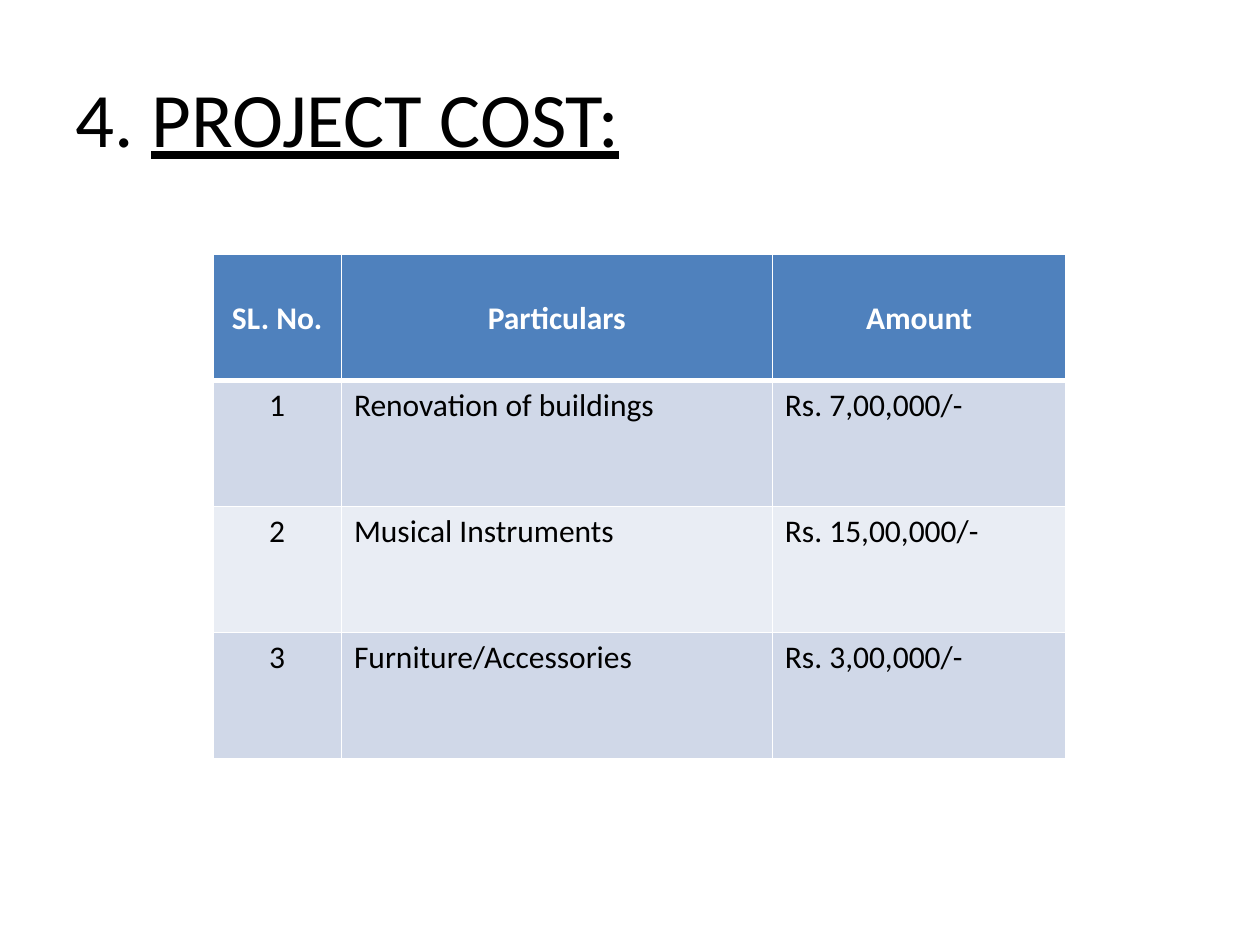
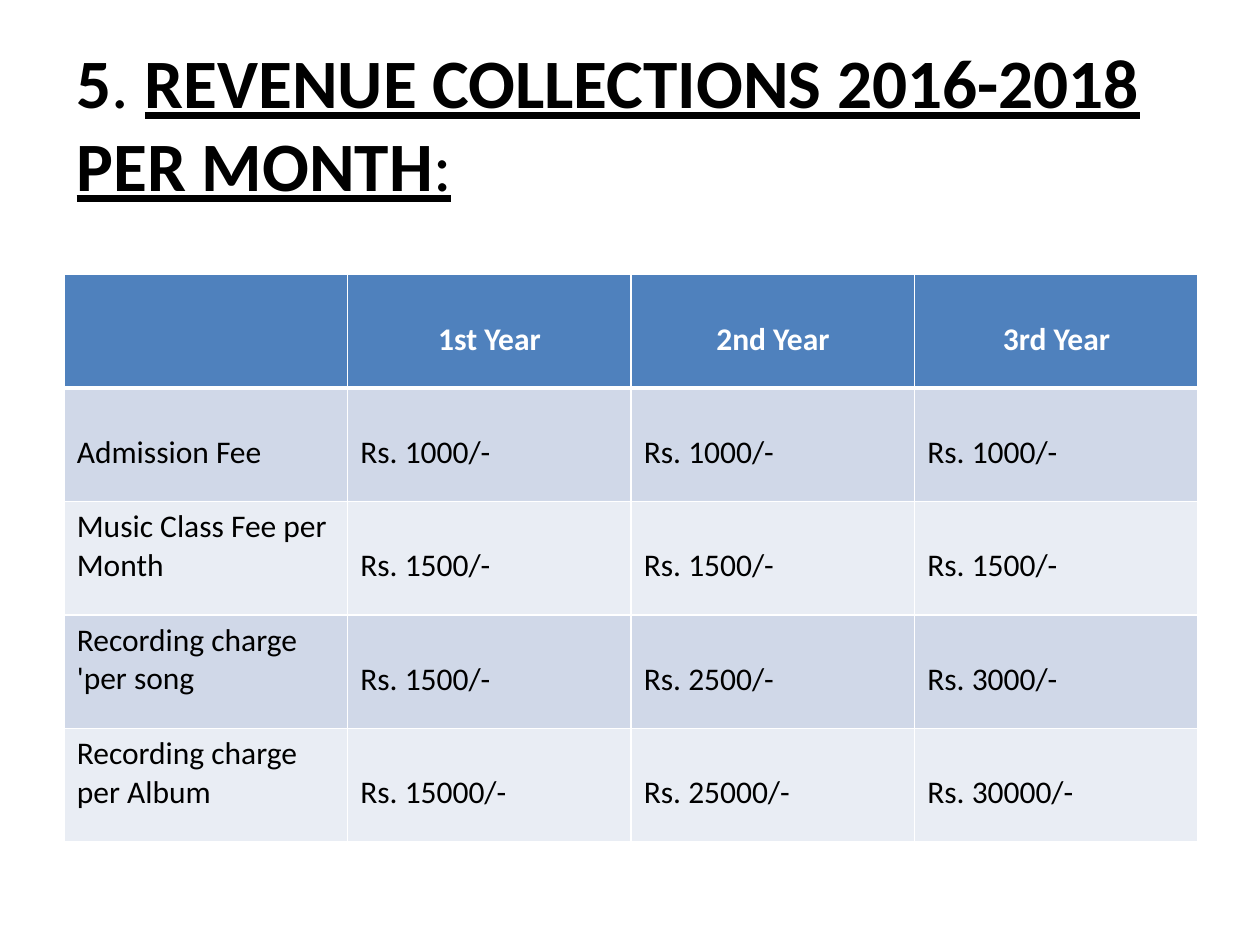
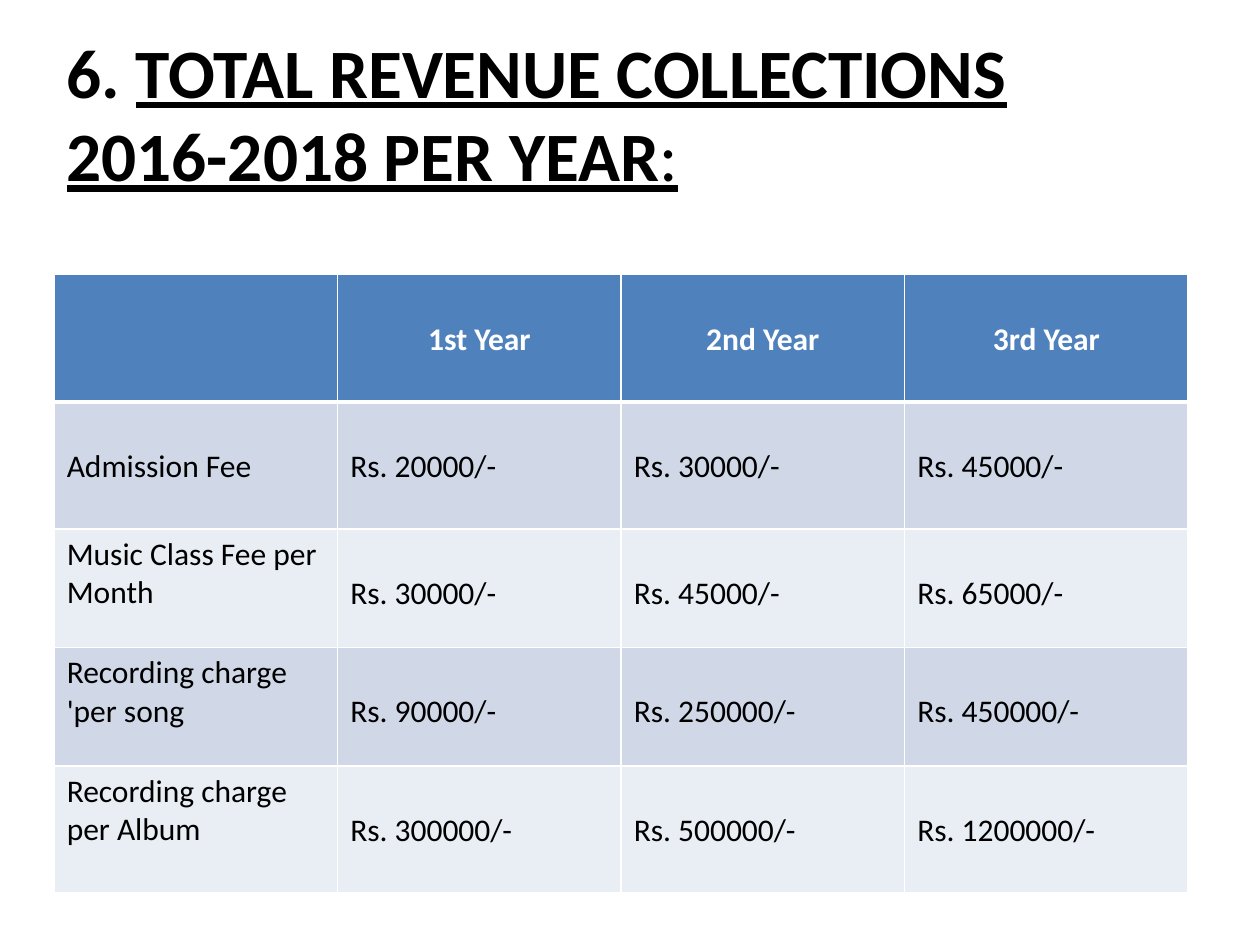
import pptx
import pptx.util
from pptx.dml.color import RGBColor
from pptx.enum.text import MSO_ANCHOR, PP_ALIGN
from pptx.oxml import parse_xml
from pptx.oxml.ns import nsdecls
from pptx.util import Inches

# Shared look
BLACK = RGBColor(0x00, 0x00, 0x00)
WHITE = RGBColor(0xFF, 0xFF, 0xFF)
HEADER_BLUE = RGBColor(0x4F, 0x81, 0xBD)
BANDS = (RGBColor(0xE9, 0xED, 0xF4), RGBColor(0xD0, 0xD8, 0xE8))
FONT = "Calibri"
CELL_SIZE = 18
CELL_MARGIN = 0.05
LINE_DROP = 0.31  # one line of cell text
LABEL_WIDTH = 20  # longer row labels wrap to two lines

# Table content
COSTS = [
    ("SL. No.", "Particulars", "Amount"),
    ("1", "Renovation of buildings", "Rs. 7,00,000/-"),
    ("2", "Musical Instruments", "Rs. 15,00,000/-"),
    ("3", "Furniture/Accessories", "Rs. 3,00,000/-"),
]
YEARS = ("", "1st Year", "2nd Year", "3rd Year")
FEES = ("Admission Fee", "Music Class Fee per Month",
        "Recording charge 'per song", "Recording charge per Album")
MONTHLY = [(1000, 1000, 1000), (1500, 1500, 1500),
           (1500, 2500, 3000), (15000, 25000, 30000)]
YEARLY = [(20000, 30000, 45000), (30000, 45000, 65000),
          (90000, 250000, 450000), (300000, 500000, 1200000)]


def add_run(p, text, size, color=BLACK, **formats):
    r = p.add_run()
    r.text = text
    r.font.color.rgb = color
    formats = {"name": FONT, "size": pptx.util.Pt(size), **formats}
    for name, value in formats.items():
        setattr(r.font, name, value)


def add_title(s, left, top, size, parts, bottom=CELL_MARGIN):
    """Left-aligned title; parts are (text, bold, underline)."""
    sp = s.shapes.add_textbox(Inches(left), Inches(top), Inches(9), Inches(1.25))
    tf = sp.text_frame
    formats = {"word_wrap": True, "vertical_anchor": MSO_ANCHOR.MIDDLE,
               "margin_bottom": Inches(bottom)}
    for name, value in formats.items():
        setattr(tf, name, value)
    for text, bold, underline in parts:
        add_run(tf.paragraphs[0], text, size, bold=bold, underline=underline)


def set_borders(cell, **widths):
    """White borders, widths in points by side: L, R, T, B."""
    tc_pr = cell._tc.get_or_add_tcPr()
    for side in "LRTB":
        width = pptx.util.Pt(widths.get(side, 1))
        tc_pr.append(parse_xml(
            f'<a:ln{side} {nsdecls("a")} w="{width}"><a:solidFill>'
            f'<a:srgbClr val="{WHITE}"/></a:solidFill></a:ln{side}>'))


def fill_cell(cell, text, row, centred, lowered):
    header = row == 0
    set_borders(cell, **{0: {"B": 3}, 1: {"T": 3}}.get(row, {}))
    cell.fill.solid()
    cell.fill.fore_color.rgb = HEADER_BLUE if header else BANDS[row % 2]
    cell.margin_top = Inches(CELL_MARGIN + (LINE_DROP if lowered else 0))
    p = cell.text_frame.paragraphs[0]
    p.alignment = PP_ALIGN.CENTER if centred else PP_ALIGN.LEFT
    if text:
        add_run(p, text, CELL_SIZE, WHITE if header else BLACK, bold=header)


def add_table(s, left, top, widths, heights, rows, fees=False):
    """Fee tables lower their one-line cells; others centre the first column."""
    frame = s.shapes.add_table(len(rows), len(widths), Inches(left), Inches(top),
                               Inches(sum(widths)), Inches(sum(heights)))
    table = frame.table
    for col, width in zip(table.columns, widths):
        col.width = Inches(width)
    for i, (height, texts) in enumerate(zip(heights, rows)):
        table.rows[i].height = Inches(height)
        for j, text in enumerate(texts):
            centred = i == 0 or (j == 0 and not fees)
            lowered = i == 0 or (fees and len(text) <= LABEL_WIDTH)
            fill_cell(table.cell(i, j), text, i, centred, lowered)


def add_fee_slide(s, left, title_top, parts, heights, amounts):
    add_title(s, left, title_top, 39.6, parts, bottom=0.72)
    rows = [YEARS] + [(fee, *(f"Rs. {n}/-" for n in values))
                      for fee, values in zip(FEES, amounts)]
    add_table(s, left, 2.18, [2.25] * 4, heights, rows, fees=True)


def main():
    prs = pptx.Presentation()
    prs.slide_width, prs.slide_height = Inches(10), Inches(7.5)
    cost, monthly, yearly = (prs.slides.add_slide(prs.slide_layouts[6])
                             for _ in range(3))

    # Project cost
    add_title(cost, 0.5, 0.3, 44,
              [("4. ", False, False), ("PROJECT COST:", False, True)])
    add_table(cost, 1.69, 2.02, [1.02, 3.42, 2.33], [1] * 4, COSTS)

    # Revenue per month
    add_fee_slide(monthly, 0.51, 0.68,
                  [("5", True, False), (". ", False, False),
                   ("REVENUE COLLECTIONS 2016-2018 PER MONTH", True, True),
                   (":", False, True)],
                  [0.9] * 5, MONTHLY)

    # Revenue per year
    add_fee_slide(yearly, 0.43, 0.6,
                  [("6. ", True, False),
                   ("TOTAL REVENUE COLLECTIONS 2016-2018 PER YEAR", True, True),
                   (":", False, True)],
                  [1.01, 1.01, 0.94, 0.94, 1.01], YEARLY)

    prs.save("out.pptx")


if __name__ == "__main__":
    main()
